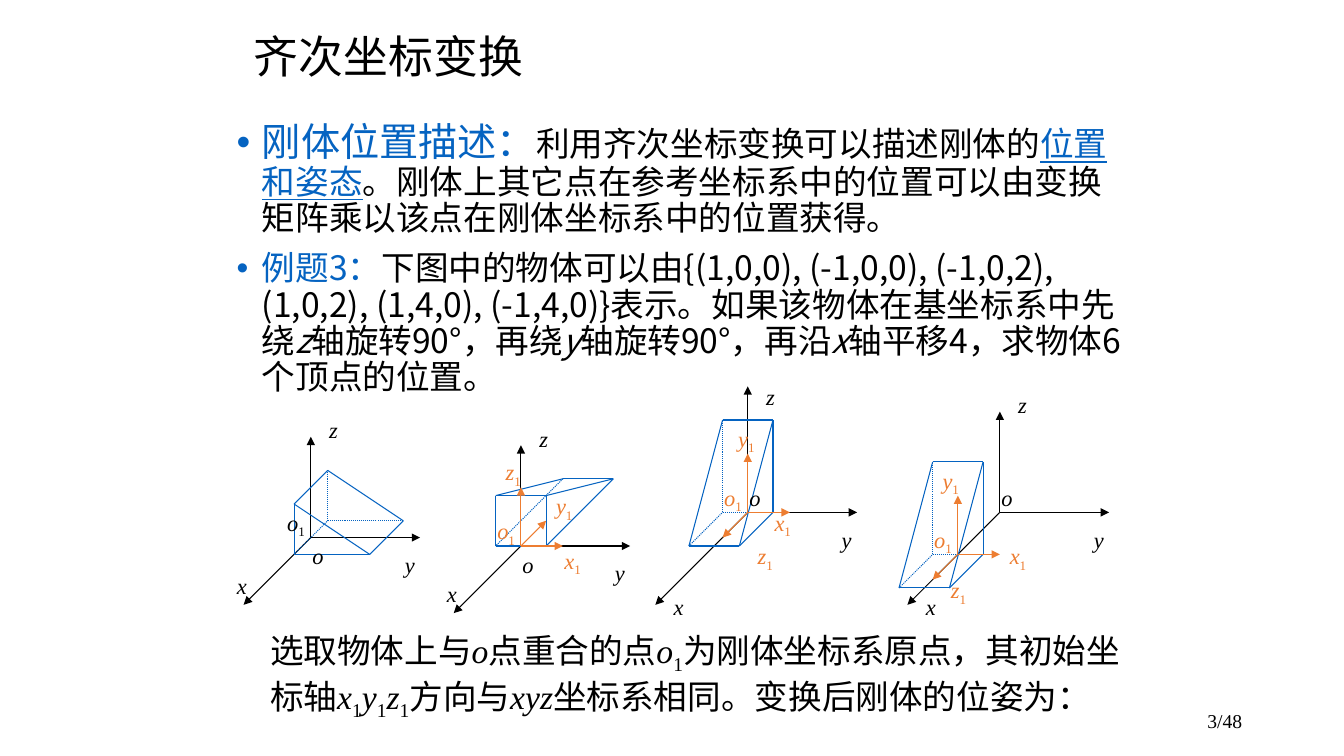
from pptx import Presentation
from pptx.dml.color import RGBColor as RGB
from pptx.enum.dml import MSO_LINE_DASH_STYLE as DASH
from pptx.enum.shapes import MSO_CONNECTOR as CONN
from pptx.enum.text import MSO_ANCHOR as ANCHOR, PP_ALIGN as ALIGN
from pptx.oxml.ns import qn
from pptx.util import Inches, Pt
from lxml.etree import SubElement as Sub

COLORS = {"black": "000000", "blue": "0563C1", "orange": "ED7D31"}
SANS = "Noto Sans CJK SC"
SERIF = "Times New Roman"
UNIT = 1 / 12
EDGES = [(0, 1), (1, 2), (2, 0), (3, 4), (4, 5), (5, 3), (0, 3), (1, 4), (2, 5)]

LEAD = [
    ("刚体位置描述：", "bl"), ("利用齐次坐标变换可以描述刚体的", ""),
    ("位置和姿态", "bu"),
    ("。刚体上其它点在参考坐标系中的位置可以由变换矩阵乘以该点在刚体坐标系中的位置获得。", ""),
]
TASK = [
    ("例题3：", "b"),
    ("下图中的物体可以由{(1,0,0), (-1,0,0), (-1,0,2), (1,0,2), (1,4,0), (-1,4,0)}"
     "表示。如果该物体在基坐标系中先绕", ""),
    ("z", "i"), ("轴旋转90°，再绕", ""), ("y", "i"), ("轴旋转90°，再沿", ""),
    ("x", "i"), ("轴平移4，求物体6个顶点的位置。", ""),
]
NOTE = [
    ("选取物体上与", ""), ("o", "i"), ("点重合的点", ""), ("o", "i"), ("1", "s"),
    ("为刚体坐标系原点，其初始坐标轴", ""), ("x", "i"), ("1", "s"), ("y", "i"),
    ("1", "s"), ("z", "i"), ("1", "s"), ("方向与", ""), ("xyz", "i"),
    ("坐标系相同。变换后刚体的位姿为：", ""),
]
TALL = [(-3, 0), (-3, -11), (-7, 4), (3, 0), (3, -11), (-1, 4)]
TALL_AXES = [(-3, 3), (5, 0), (0, -7)]
TALL_DOTS = [(0, 1), (0, 3), (2, 0)]

FIGURES = [
    {"base": (37, 64), "shift": (0, 0), "ends": [(0, -12), (13, 0), (-8, 8)],
     "body": [(-2, 2), (-2, -4), (7, 2), (2, -2), (2, -8), (11, -2)],
     "dots": [(0, 3), (3, 4), (5, 3)], "axes": [], "tint": "black",
     "names": {"x": (-10, 3.5), "y": (10, 1), "z": (1, -15), "o": (-1, 0)},
     "marks": {"o": (-4, -4)}},
    {"base": (62, 65), "shift": (0, 0), "ends": [(0, -12), (13, 0), (-8, 8)],
     "body": [(-3, 0), (-3, -6), (5, -8), (3, 0), (3, -6), (11, -8)],
     "dots": [(2, 0)], "axes": [(5, 0), (0, -7), (3, -3)], "tint": "orange",
     "names": {"x": (-10, 3.5), "y": (10, 1), "z": (1, -15), "o": (-1, 0)},
     "marks": {"o": (-4, -4), "x": (4, -0.5), "y": (3, -7), "z": (-3, -11)}},
    {"base": (89, 61), "shift": (0, 0), "ends": [(0, -15), (13, 0), (-11, 11)],
     "body": TALL, "dots": TALL_DOTS, "axes": TALL_AXES, "tint": "orange",
     "names": {"x": (-10, 9), "y": (10, 1), "z": (1, -16), "o": (-1, -4)},
     "marks": {"o": (-4, -4), "x": (2, -1), "y": (-2.33, -11), "z": (0, 3)}},
    {"base": (119, 61), "shift": (-5, 5), "ends": [(0, -12), (13, 0), (-11, 11)],
     "body": TALL, "dots": TALL_DOTS, "axes": TALL_AXES, "tint": "orange",
     "names": {"x": (-10, 9), "y": (10, 1), "z": (1, -15), "o": (-1, -4)},
     "marks": {"o": (-4, -4), "x": (5, -2), "y": (-3, -11), "z": (-2, 2)}},
]


def color(name):
    return RGB.from_string(COLORS[name])


def add_box(shapes, left, top, width, height, anchor=ANCHOR.TOP):
    box = shapes.add_textbox(Inches(left), Inches(top), Inches(width), Inches(height))
    frame = box.text_frame
    frame.word_wrap = True
    frame.vertical_anchor = anchor
    return frame


def write(para, runs, size, face, tint="black"):
    font = para.font
    font.size = Pt(size)
    font.name = face
    font.color.rgb = color(tint)
    Sub(para._p.pPr.find(qn("a:defRPr")), qn("a:ea"), typeface=SANS)
    for text, style in runs:
        run = para.add_run()
        run.text = text
        if "b" in style:
            run.font.color.rgb = color("blue")
        if "l" in style:
            run.font.size = Pt(28)
        if "u" in style:
            run.font.underline = True
        if "i" in style:
            run.font.italic = True
        if "s" in style:
            run._r.get_or_add_rPr().set("baseline", "-25000")


def add_bullet(para):
    props = para._p.get_or_add_pPr()
    props.set("marL", str(Inches(0.25)))
    props.set("indent", str(-Inches(0.25)))
    tint = Sub(props, qn("a:buClr"))
    Sub(tint, qn("a:srgbClr"), val=COLORS["blue"])
    Sub(props, qn("a:buFont"), typeface="Arial")
    Sub(props, qn("a:buChar"), char="•")


def add_line(shapes, start, end, tint, dotted=False, arrow=False):
    ends = [Inches(v * UNIT) for v in (*start, *end)]
    line = shapes.add_connector(CONN.STRAIGHT, *ends)
    line.line.width = Pt(0.75)
    line.line.color.rgb = color(tint)
    if dotted:
        line.line.dash_style = DASH.ROUND_DOT
    props = line._element.spPr
    if arrow:
        Sub(props.find(qn("a:ln")), qn("a:tailEnd"), type="triangle")
    Sub(props, qn("a:effectLst"))


def add_label(shapes, spot, runs, tint):
    frame = add_box(shapes, spot[0] * UNIT, spot[1] * UNIT, 0.58, 0.37)
    write(frame.paragraphs[0], runs, 16, SERIF, tint)


def move(spot, step):
    return spot[0] + step[0], spot[1] + step[1]


def add_figure(slide, fig):
    shapes = slide.shapes.add_group_shape().shapes
    base = fig["base"]
    local = move(base, fig["shift"])
    for end in fig["ends"]:
        add_line(shapes, base, move(base, end), "black", arrow=True)
    body = [move(local, spot) for spot in fig["body"]]
    for edge in EDGES:
        add_line(shapes, body[edge[0]], body[edge[1]], "blue", dotted=edge in fig["dots"])
    for end in fig["axes"]:
        add_line(shapes, local, move(local, end), "orange", arrow=True)
    for name, spot in fig["names"].items():
        add_label(shapes, move(base, spot), [(name, "i")], "black")
    for name, spot in fig["marks"].items():
        add_label(shapes, move(local, spot), [(name, "i"), ("1", "s")], fig["tint"])


def main():
    deck = Presentation()
    deck.slide_width = Inches(13.33)
    deck.slide_height = Inches(7.5)
    slide = deck.slides.add_slide(deck.slide_layouts[6])
    shapes = slide.shapes

    page = add_box(shapes, 9.42, 6.95, 3, 0.4, ANCHOR.MIDDLE).paragraphs[0]
    page.alignment = ALIGN.RIGHT
    write(page, [("3/48", "")], 14, SERIF)

    title = add_box(shapes, 2.42, 0.25, 8.5, 0.67, ANCHOR.MIDDLE).paragraphs[0]
    title.line_spacing = 0.9
    write(title, [("齐次坐标变换", "")], 32, SANS)

    frame = add_box(shapes, 2.25, 1.17, 9, 3.58)
    for index, runs in enumerate((LEAD, TASK)):
        para = frame.add_paragraph() if index else frame.paragraphs[0]
        add_bullet(para)
        para.line_spacing = 0.9
        if index:
            para.space_before = Pt(10)
        write(para, runs, 24, SANS)

    for fig in FIGURES:
        add_figure(slide, fig)

    note = add_box(shapes, 2.58, 6.2, 8.67, 0.91).paragraphs[0]
    write(note, NOTE, 24, SERIF)
    deck.save("out.pptx")


if __name__ == "__main__":
    main()
